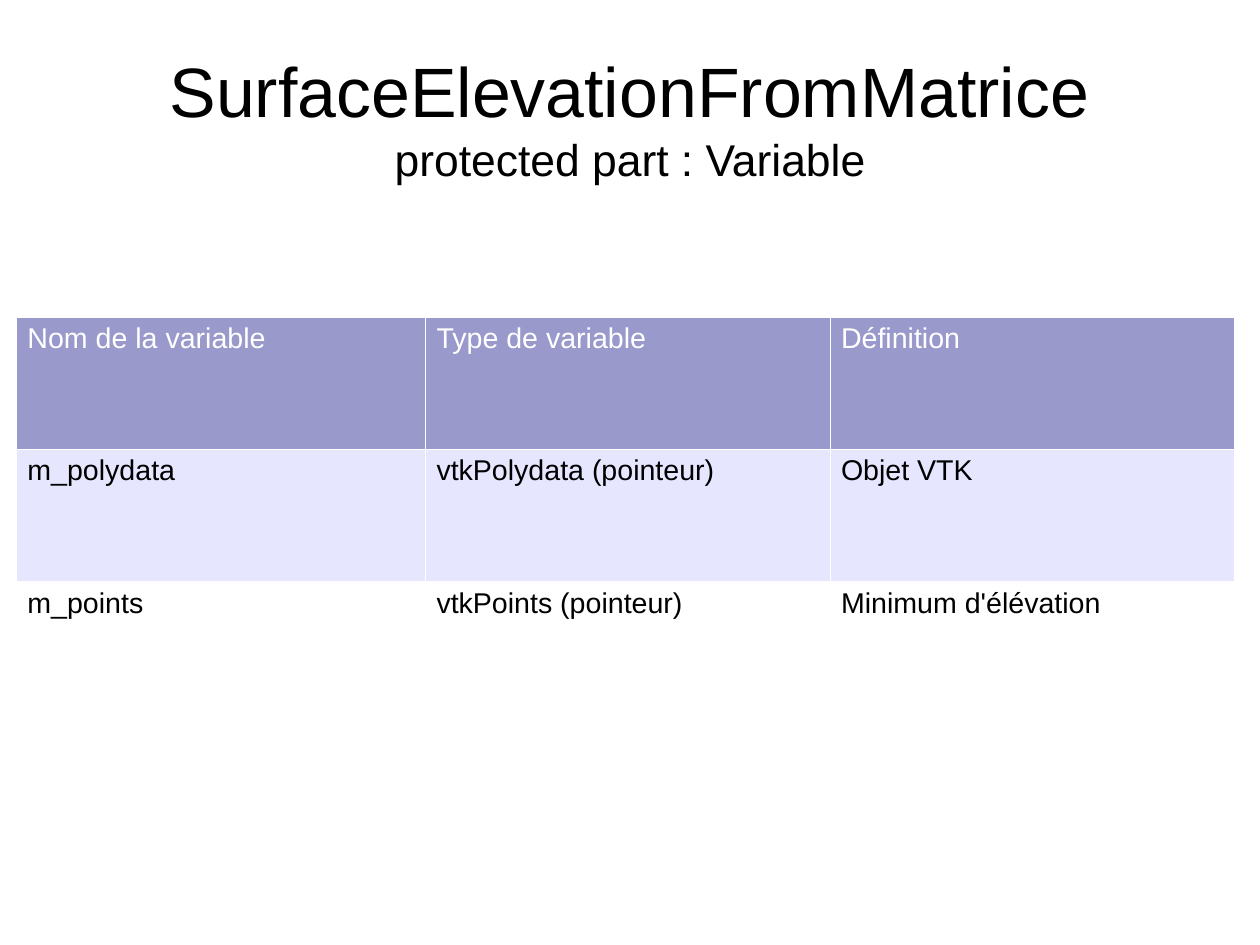
from pptx import Presentation
from pptx.dml.color import RGBColor
from pptx.enum.text import MSO_ANCHOR, PP_ALIGN
from pptx.oxml import parse_xml
from pptx.oxml.ns import nsdecls
from pptx.util import Pt

PX = 3600  # EMU per px, 10 px to the millimetre
FONT = "Arial"
COLORS = {
    "ink": "000000",
    "white": "FFFFFF",
    "head": "9999CC",
    "band": "E6E6FF",
}
WIDTHS = [909, 899, 899]
HEIGHT = 294
# Fill and text colour of each row, then its cells
ROWS = [
    ("head", "white", ["Nom de la variable", "Type de variable", "Définition"]),
    ("band", "ink", ["m_polydata", "vtkPolydata (pointeur)", "Objet VTK"]),
    ("white", "ink", ["m_points", "vtkPoints (pointeur)", "Minimum d'élévation"]),
]


def color(name):
    return RGBColor.from_string(COLORS[name])


def add_run(para, text, size, ink):
    run = para.add_run()
    run.text = text
    run.font.name = FONT
    run.font.size = Pt(size)
    run.font.color.rgb = color(ink)


def add_title(slide, left, top, width, height):
    box = slide.shapes.add_textbox(left * PX, top * PX, width * PX, height * PX)
    frame = box.text_frame
    frame.word_wrap = True
    frame.vertical_anchor = MSO_ANCHOR.MIDDLE
    frame.margin_left = frame.margin_right = 0
    frame.margin_top = frame.margin_bottom = 0
    para = frame.paragraphs[0]
    para.alignment = PP_ALIGN.CENTER
    add_run(para, "SurfaceElevationFromMatrice", 44, "ink")
    para.add_line_break()
    add_run(para, "protected part : Variable", 28, "ink")


def add_edges(cell):
    props = cell._tc.get_or_add_tcPr()
    for index, side in enumerate("LRTB"):
        props.insert(index, parse_xml(
            f'<a:ln{side} {nsdecls("a")} w="{Pt(0.06)}"><a:solidFill>'
            f'<a:srgbClr val="{COLORS["white"]}"/></a:solidFill></a:ln{side}>'))


def fill_cell(cell, text, fill, ink):
    cell.margin_left = cell.margin_right = 25 * PX
    cell.margin_top = cell.margin_bottom = 13 * PX
    cell.fill.solid()
    cell.fill.fore_color.rgb = color(fill)
    add_edges(cell)
    add_run(cell.text_frame.paragraphs[0], text, 18, ink)


def add_grid(slide, left, top):
    frame = slide.shapes.add_table(
        len(ROWS), len(WIDTHS), left * PX, top * PX,
        sum(WIDTHS) * PX, len(ROWS) * HEIGHT * PX)
    table = frame.table
    for column, width in zip(table.columns, WIDTHS):
        column.width = width * PX
    for row, (fill, ink, texts) in zip(table.rows, ROWS):
        row.height = HEIGHT * PX
        for cell, text in zip(row.cells, texts):
            fill_cell(cell, text, fill, ink)


def main():
    deck = Presentation()
    deck.slide_width = 2800 * PX
    deck.slide_height = 2100 * PX
    slide = deck.slides.add_slide(deck.slide_layouts[6])

    # Heading
    add_title(slide, 140, 84, 2520, 350)

    # Table of variables
    add_grid(slide, 36, 704)

    deck.save("out.pptx")


if __name__ == "__main__":
    main()
